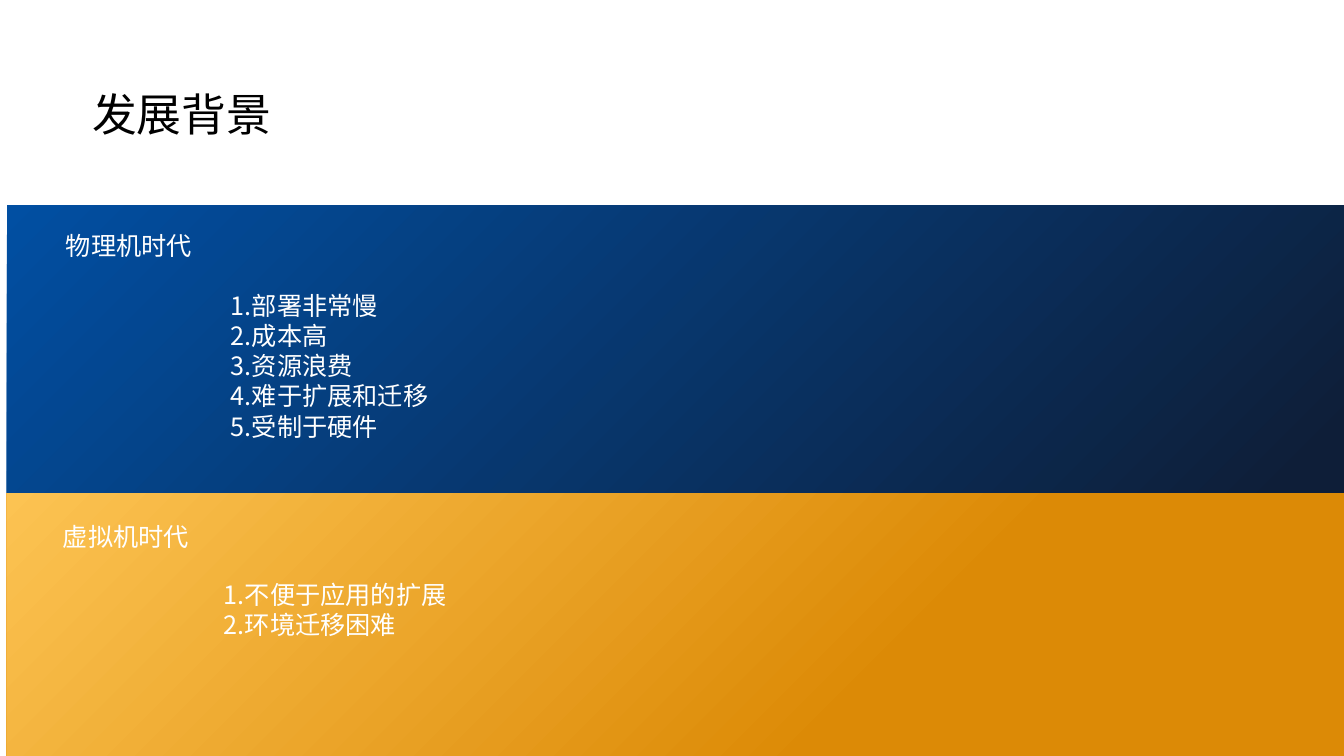
from lxml.etree import SubElement
from pptx import Presentation
from pptx.dml.color import RGBColor
from pptx.enum.shapes import MSO_SHAPE
from pptx.enum.text import MSO_ANCHOR, MSO_AUTO_SIZE, PP_ALIGN
from pptx.oxml.ns import qn
from pptx.util import Emu, Pt

SLIDE_W, SLIDE_H = 1344, 756
BAND_LEFT, BAND_TOP, BAND_H = 7, 205, 288
FONT = "Noto Sans CJK SC"

BLACK = RGBColor(0x00, 0x00, 0x00)
WHITE = RGBColor(0xFF, 0xFF, 0xFF)
BLUE = RGBColor(0x01, 0x4F, 0xA2)
NAVY = RGBColor(0x0E, 0x1E, 0x38)
AMBER = RGBColor(0xDC, 0x8A, 0x06)
YELLOW = RGBColor(0xFC, 0xC3, 0x52)


def px(n):
    return Emu(round(n * 914400 / 100.8))


def place(sp, x, y, w, h):
    sp.left, sp.top, sp.width, sp.height = px(x), px(y), px(w), px(h)


def write(tf, text, size=18, color=WHITE, wrap=True):
    """Fill a text frame, one paragraph for each line of text."""
    tf.word_wrap = wrap
    tf.auto_size = MSO_AUTO_SIZE.SHAPE_TO_FIT_TEXT
    tf.vertical_anchor = MSO_ANCHOR.TOP
    tf.text = text
    for p in tf.paragraphs:
        p.alignment = PP_ALIGN.LEFT
        for r in p.runs:
            r.font.size = Pt(size)
            r.font.color.rgb = color
            r.font.name = FONT
            SubElement(r.font._element, qn("a:ea"), typeface=FONT)


def add_text(s, x, y, w, h, text, **fmt):
    sp = s.shapes.add_textbox(px(x), px(y), px(w), px(h))
    write(sp.text_frame, text, **fmt)


def add_band(s, row, stops, angle):
    """Draw a full-width band; the angle runs counter-clockwise."""
    sp = s.shapes.add_shape(MSO_SHAPE.ROUNDED_RECTANGLE, px(BAND_LEFT),
                            px(BAND_TOP + row * BAND_H), px(SLIDE_W), px(BAND_H))
    sp.adjustments[0] = 0
    sp.shadow.inherit = False
    sp.line.fill.background()
    sp.fill.gradient()
    sp.fill.gradient_angle = angle
    for stop, (position, color) in zip(sp.fill.gradient_stops, stops):
        stop.position = position
        stop.color.rgb = color


def main():
    prs = Presentation()
    prs.slide_width, prs.slide_height = px(SLIDE_W), px(SLIDE_H)
    s = prs.slides.add_slide(prs.slide_layouts[5])

    # Title
    place(s.shapes.title, 82, 82, 202, 65)
    write(s.shapes.title.text_frame, "发展背景", size=32, color=BLACK, wrap=False)

    # Background bands
    add_band(s, 0, [(0, BLUE), (0.96, NAVY)], 315)
    add_band(s, 1, [(0.35, AMBER), (1, YELLOW)], 135)

    # Physical machine era
    add_text(s, 56, 225, 226, 40, "物理机时代")
    add_text(s, 221, 285, 980, 163,
             "1.部署非常慢\n2.成本高\n3.资源浪费\n4.难于扩展和迁移\n5.受制于硬件")

    # Virtual machine era
    add_text(s, 53, 516, 226, 40, "虚拟机时代")
    add_text(s, 214, 574, 1056, 72, "1.不便于应用的扩展\n2.环境迁移困难")

    prs.save("out.pptx")


if __name__ == "__main__":
    main()
